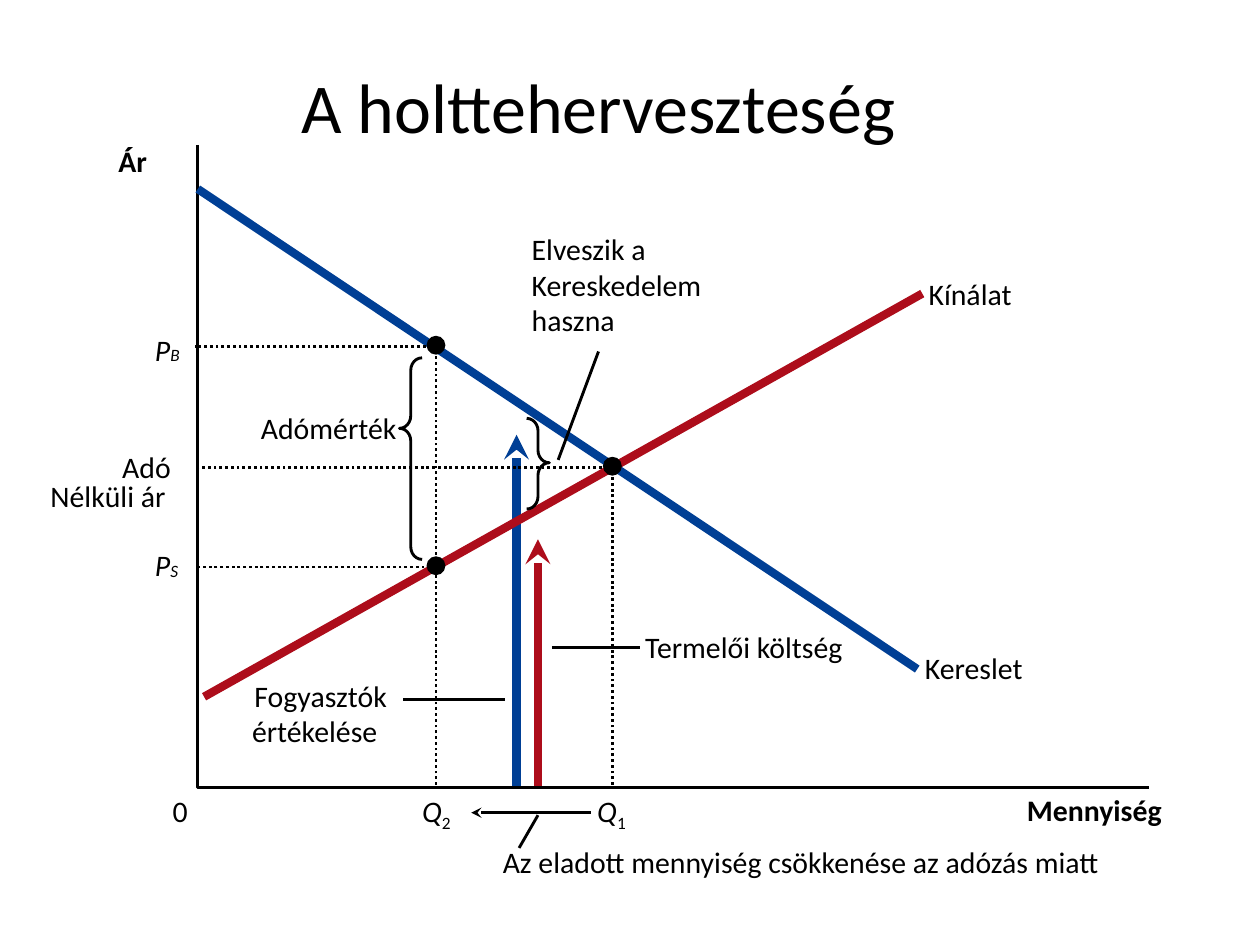
from collections import namedtuple

from lxml.etree import SubElement
from pptx import Presentation
from pptx.dml.color import RGBColor
from pptx.enum.dml import MSO_LINE
from pptx.enum.shapes import MSO_CONNECTOR, MSO_SHAPE
from pptx.enum.text import MSO_ANCHOR, MSO_AUTO_SIZE, PP_ALIGN
from pptx.oxml.ns import qn
from pptx.util import Inches, Pt

COLORS = {"ink": "000000", "demand": "003F95", "supply": "AD0D1B"}
FONT = "Calibri"
THIN, THICK = 1.63, 4.75
LINE_HEIGHT = 0.29

Box = namedtuple("Box", "left top width height")

# Key values, measured from the top left corner of the plot
Q1, Q2 = 3.29, 1.89
PRICE_BUYER, PRICE_NO_TAX, PRICE_SELLER = 1.6, 2.56, 3.35


def color(name):
    return RGBColor.from_string(COLORS[name])


def style_line(shape, tone="ink", width=THIN, dotted=False):
    shape.line.color.rgb = color(tone)
    shape.line.width = Pt(width)
    if dotted:
        shape.line.dash_style = MSO_LINE.ROUND_DOT


def add_line(page, box, start, end, tone="ink", width=THIN, dotted=False, arrow=False):
    ends = [Inches(origin + offset) for point in (start, end)
            for origin, offset in zip((box.left, box.top), point)]
    line = page.shapes.add_connector(MSO_CONNECTOR.STRAIGHT, *ends)
    style_line(line, tone, width, dotted)
    properties = line.element.spPr
    SubElement(properties, qn("a:effectLst"))
    if arrow:
        SubElement(properties.find(qn("a:ln")), qn("a:tailEnd"), type="stealth")


def add_path(page, box, points, dotted=False):
    spots = [(Inches(box.left + x), Inches(box.top + y)) for x, y in points]
    builder = page.shapes.build_freeform(*spots[0])
    builder.add_line_segments(spots[1:], close=False)
    path = builder.convert_to_shape()
    path.shadow.inherit = False
    path.fill.background()
    style_line(path, dotted=dotted)


def add_brace(page, box, kind, left, top, height, middle):
    brace = page.shapes.add_shape(kind, Inches(box.left + left), Inches(box.top + top),
                                  Inches(0.18), Inches(height))
    brace.adjustments[0] = 0.55
    brace.adjustments[1] = middle
    brace.shadow.inherit = False
    brace.fill.background()
    style_line(brace)


def add_dot(page, box, x, y, size=0.15):
    dot = page.shapes.add_shape(
        MSO_SHAPE.OVAL, Inches(box.left + x - size / 2), Inches(box.top + y - size / 2),
        Inches(size), Inches(size))
    dot.shadow.inherit = False
    dot.fill.solid()
    dot.fill.fore_color.rgb = color("ink")
    dot.line.fill.background()


def add_label(page, box, left, top, width, *lines, bold=False):
    label = page.shapes.add_textbox(Inches(box.left + left), Inches(box.top + top),
                                    Inches(width), Inches(LINE_HEIGHT * len(lines)))
    frame = label.text_frame
    frame.margin_left = frame.margin_right = frame.margin_top = frame.margin_bottom = 0
    frame.word_wrap = False
    frame.auto_size = MSO_AUTO_SIZE.SHAPE_TO_FIT_TEXT
    for index, line in enumerate(lines):
        para = frame.add_paragraph() if index else frame.paragraphs[0]
        para.text = line
        para.font.name, para.font.size, para.font.bold = FONT, Pt(17), bold
        para.font.color.rgb = color("ink")
    return frame.paragraphs[0]


def add_symbol(page, box, left, top, letter, index, baseline, index_italic):
    para = add_label(page, box, left, top, 0.24, letter)
    para.runs[0].font.italic = True
    span = para.add_run()
    span.text = index
    span.font.italic = index_italic
    span.font._element.set("baseline", str(baseline * 1000))


def draw_title(page, box):
    title = page.shapes.add_textbox(*(Inches(value) for value in box))
    frame = title.text_frame
    frame.word_wrap = True
    frame.vertical_anchor = MSO_ANCHOR.TOP
    para = frame.paragraphs[0]
    para.text = "A holtteherveszteség"
    para.alignment = PP_ALIGN.CENTER
    para.line_spacing = 0.8
    para.font.name, para.font.size = FONT, Pt(40)
    para.font.color.rgb = color("ink")


def draw_axes(page, box):
    add_path(page, box, [(0, 0), (0, box.height), (box.width, box.height)])
    add_label(page, box, -0.63, -0.02, 0.23, "Ár", bold=True)
    add_label(page, box, 6.58, 5.13, 1.08, "Mennyiség", bold=True)
    add_label(page, box, -0.2, 5.14, 0.12, "0")


def draw_value_and_cost(page, box):
    for x, tip, tone in ((2.7, 3.13, "supply"), (2.53, 2.3, "demand")):
        add_line(page, box, (x, box.height), (x, tip), tone, THICK, arrow=True)
    add_line(page, box, (2.81, 3.99), (3.51, 3.99))
    add_label(page, box, 3.55, 3.84, 1.58, "Termelői költség")
    add_line(page, box, (1.63, 4.4), (2.44, 4.4))
    add_label(page, box, 0.45, 4.23, 1.06, "Fogyasztók")
    add_label(page, box, 0.43, 4.51, 1.01, "értékelése")


def draw_curves(page, box):
    add_line(page, box, (0, 0.35), (5.71, 4.16), "demand", THICK)
    add_label(page, box, 5.77, 4.01, 0.78, "Kereslet")
    add_line(page, box, (5.75, 1.18), (0.05, 4.38), "supply", THICK)
    add_label(page, box, 5.8, 1.04, 0.66, "Kínálat")


def draw_tax_and_lost_gains(page, box):
    add_brace(page, box, MSO_SHAPE.LEFT_BRACE, 1.6, 1.69, 1.6, 0.35)
    add_label(page, box, 0.5, 2.1, 1.09, "Adómérték")
    add_brace(page, box, MSO_SHAPE.RIGHT_BRACE, 2.61, 2.17, 0.72, 0.49)
    add_line(page, box, (2.86, 2.5), (3.18, 1.64))
    add_label(page, box, 2.65, 0.68, 1.36, "Elveszik a", "Kereskedelem", "haszna")


def draw_quantity_drop(page, box):
    add_line(page, box, (3.12, 5.3), (2.17, 5.3), arrow=True)
    add_line(page, box, (2.55, 5.58), (2.7, 5.32))
    add_label(page, box, 2.42, 5.55, 4.79,
              "Az eladott mennyiség csökkenése az adózás miatt")


def draw_equilibria(page, box):
    foot = box.height - 0.02
    # Without the tax
    add_path(page, box, [(Q1, foot), (Q1, PRICE_NO_TAX), (0, PRICE_NO_TAX)], dotted=True)
    add_label(page, box, -0.6, 2.41, 0.39, "Adó")
    add_label(page, box, -1.17, 2.64, 0.92, "Nélküli ár")
    # With the tax
    add_path(page, box, [(Q2, foot), (Q2, PRICE_BUYER), (-0.02, PRICE_BUYER)], dotted=True)
    add_line(page, box, (Q2, PRICE_SELLER), (0, PRICE_SELLER), dotted=True)
    for x, y in ((Q1, PRICE_NO_TAX), (Q2, PRICE_BUYER), (Q2, PRICE_SELLER)):
        add_dot(page, box, x, y - 0.01)
    # Symbols on the axes
    for left, index in ((3.17, "1"), (1.78, "2")):
        add_symbol(page, box, left, 5.14, "Q", index, -25, False)
    for top, index in ((1.48, "B"), (3.19, "S")):
        add_symbol(page, box, -0.34, top, "P", index, -2, True)


def main():
    deck = Presentation()
    deck.slide_width, deck.slide_height = Inches(10), Inches(7.5)
    page = deck.slides.add_slide(deck.slide_layouts[6])
    draw_title(page, Box(0.5, 0.58, 8.5, 1.25))
    plot = Box(1.57, 1.15, 7.55, 5.1)
    for draw in (draw_value_and_cost, draw_axes, draw_curves, draw_tax_and_lost_gains,
                 draw_quantity_drop, draw_equilibria):
        draw(page, plot)
    deck.save("out.pptx")


if __name__ == "__main__":
    main()
